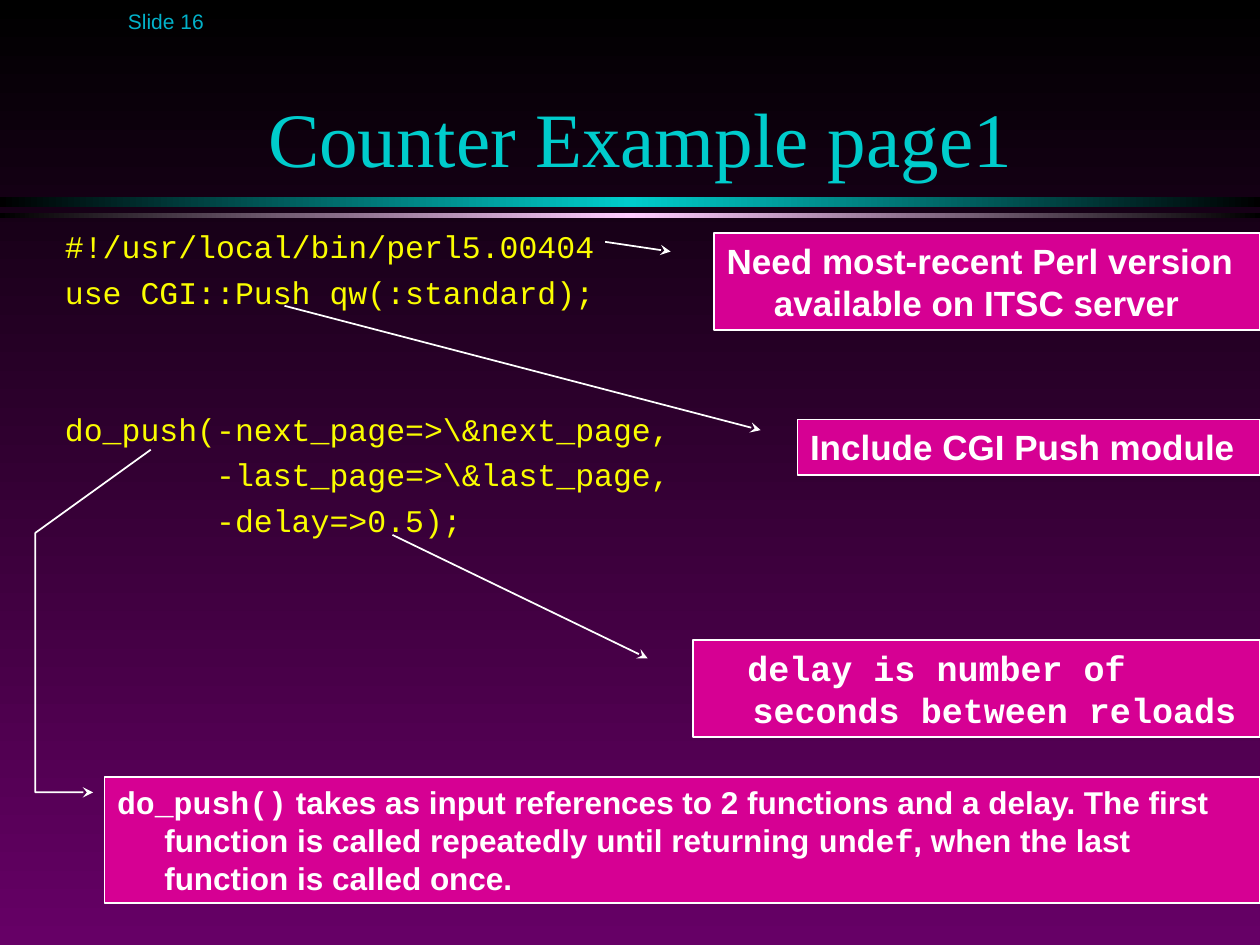
import copy
from dataclasses import dataclass

import pptx
import pptx.dml.color
import pptx.enum.shapes
import pptx.enum.text
import pptx.oxml.ns
import pptx.util
from lxml import etree

Cm, Pt = pptx.util.Cm, pptx.util.Pt
RGB = pptx.dml.color.RGBColor.from_string
qn = pptx.oxml.ns.qn
SHAPE = pptx.enum.shapes.MSO_SHAPE
ANCHOR = pptx.enum.text.MSO_ANCHOR
ALIGN = pptx.enum.text.PP_ALIGN


@dataclass(frozen=True)
class Theme:
    black: str = "000000"
    purple: str = "660066"
    teal: str = "00CCCC"
    pink: str = "FFCCFF"
    number: str = "02B2CA"
    code: str = "FAFD00"
    magenta: str = "D60093"
    white: str = "FFFFFF"
    sans: str = "Arial"
    serif: str = "Times New Roman"
    mono: str = "Courier New"
    title_size: int = 44
    note_size: int = 20
    code_size: int = 18
    number_size: int = 12
    leading: float = 1.2
    hanging: float = 27


theme = Theme()


def write_runs(paragraph, runs, size, color, bold=False):
    """Add (text, font name) runs to a paragraph."""
    for text, font_name in runs:
        run = paragraph.add_run()
        run.text = text
        look = {"name": font_name, "size": Pt(size), "bold": bold}
        for attribute, value in look.items():
            setattr(run.font, attribute, value)
        run.font.color.rgb = RGB(color)


def set_leading(paragraph, size, margin, indent):
    """Give a paragraph fixed line spacing and a hanging indent in points."""
    paragraph.line_spacing = Pt(size * theme.leading)
    properties = paragraph._p.get_or_add_pPr()
    for attribute, value in {"marL": margin, "indent": indent}.items():
        properties.set(attribute, str(int(Pt(value))))


deck = pptx.Presentation()
deck.slide_width, deck.slide_height = Cm(25.4), Cm(19.05)
slide = deck.slides.add_slide(deck.slide_layouts[6])

# Background
backdrop = slide.background.fill
backdrop.gradient()
backdrop.gradient_angle = 270
for stop, color in zip(backdrop.gradient_stops, (theme.black, theme.purple)):
    stop.color.rgb = RGB(color)

# Double rule under the title, bright in the middle
for top, height, color in ((3.97, 0.2, theme.teal), (4.29, 0.1, theme.pink)):
    rule = slide.shapes.add_shape(
        SHAPE.RECTANGLE, 0, Cm(top), deck.slide_width, Cm(height))
    rule.shadow.inherit = False
    rule.line.fill.background()
    rule.fill.gradient()
    rule.fill.gradient_angle = 0
    stop_list = rule._element.spPr.find(".//" + qn("a:gsLst"))
    stop_list.insert(1, copy.deepcopy(stop_list[0]))
    shades = (theme.black, color, theme.black)
    for stop, position, shade in zip(rule.fill.gradient_stops, (0, 0.5, 1), shades):
        stop.position = position
        stop.color.rgb = RGB(shade)

# Slide number and title
headings = (
    ("Slide 16", (2.33, 0, 4.65, 0.85), theme.sans, theme.number_size,
     theme.number, ANCHOR.MIDDLE, ALIGN.LEFT),
    ("Counter Example page1", (2.33, 0.64, 21.17, 3.18), theme.serif,
     theme.title_size, theme.teal, ANCHOR.BOTTOM, ALIGN.CENTER),
)
for text, box, font_name, size, color, anchor, alignment in headings:
    heading = slide.shapes.add_textbox(*map(Cm, box)).text_frame
    heading.word_wrap = True
    heading.vertical_anchor = anchor
    heading.paragraphs[0].alignment = alignment
    write_runs(heading.paragraphs[0], [(text, font_name)], size, color)

# Code listing: (line, space before)
line_gap = 4.5
block_gap = 3 * line_gap + 2 * theme.code_size * theme.leading
listing = (
    ("#!/usr/local/bin/perl5.00404", 0),
    ("use CGI::Push qw(:standard);", line_gap),
    ("do_push(-next_page=>\\&next_page,", block_gap),
    ("        -last_page=>\\&last_page,", line_gap),
    ("        -delay=>0.5);", line_gap),
)
code = slide.shapes.add_textbox(Cm(1.06), Cm(4.45), Cm(24.34), Cm(11.43)).text_frame
code.word_wrap = True
for number, (text, gap) in enumerate(listing):
    line = code.add_paragraph() if number else code.paragraphs[0]
    set_leading(line, theme.code_size, theme.hanging, -theme.hanging)
    line.space_before = Pt(gap)
    write_runs(line, [(text, theme.mono)], theme.code_size, theme.code)

# Callouts: (preset, box, pointer, size, first-line indent, runs)
pointer_start = (0.19, -0.08)
callouts = (
    (SHAPE.LINE_CALLOUT_1, (14.4, 4.7, 11, 1.96),
     (*pointer_start, 0.09, -0.2), theme.note_size, -theme.hanging,
     [("Need most-recent Perl version available on ITSC server", theme.sans)]),
    (SHAPE.LINE_CALLOUT_1, (13.97, 12.9, 11.43, 1.96),
     (*pointer_start, -1.08, -0.53), theme.note_size, -3,
     [("delay is number of seconds between reloads", theme.mono)]),
    (SHAPE.LINE_CALLOUT_1, (16.08, 8.46, 9.32, 1.12),
     (*pointer_start, -2.05, -1.11), theme.note_size, -theme.hanging,
     [("Include CGI Push module", theme.sans)]),
    (SHAPE.LINE_CALLOUT_3, (2.11, 15.67, 23.29, 2.54),
     (0.12, -0.01, 0.12, -0.06, -1.94, -0.06, -2.6, 0.04),
     theme.code_size, -theme.hanging,
     [("do_push()", theme.mono),
      (" takes as input references to 2 functions and a delay. The first "
       "function is called repeatedly until returning ", theme.sans),
      ("undef", theme.mono),
      (", when the last function is called once.", theme.sans)]),
)
for preset, box, pointer, size, indent, runs in callouts:
    callout = slide.shapes.add_shape(preset, *map(Cm, box))
    callout.shadow.inherit = False
    for index, value in enumerate(pointer):
        callout.adjustments[index] = value
    callout.fill.solid()
    callout.fill.fore_color.rgb = RGB(theme.magenta)
    callout.line.color.rgb = RGB(theme.white)
    callout.line.width = Pt(1)
    etree.SubElement(callout.line._get_or_add_ln(), qn("a:headEnd"), type="stealth")
    note = callout.text_frame
    for attribute, value in {"word_wrap": True, "vertical_anchor": ANCHOR.TOP}.items():
        setattr(note, attribute, value)
    note.paragraphs[0].alignment = ALIGN.LEFT
    set_leading(note.paragraphs[0], size, theme.hanging, indent)
    write_runs(note.paragraphs[0], runs, size, theme.white, bold=True)

deck.save("out.pptx")
